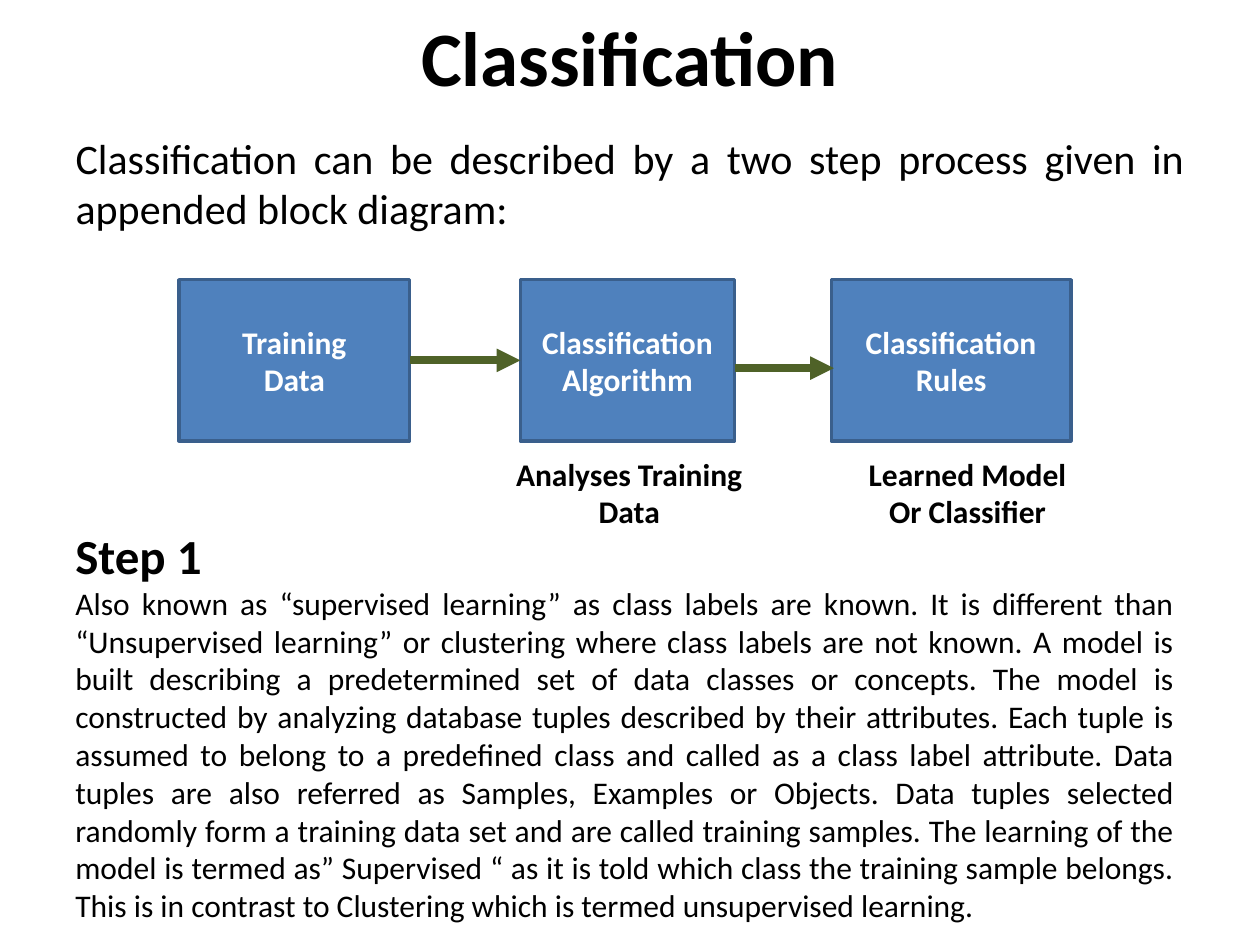
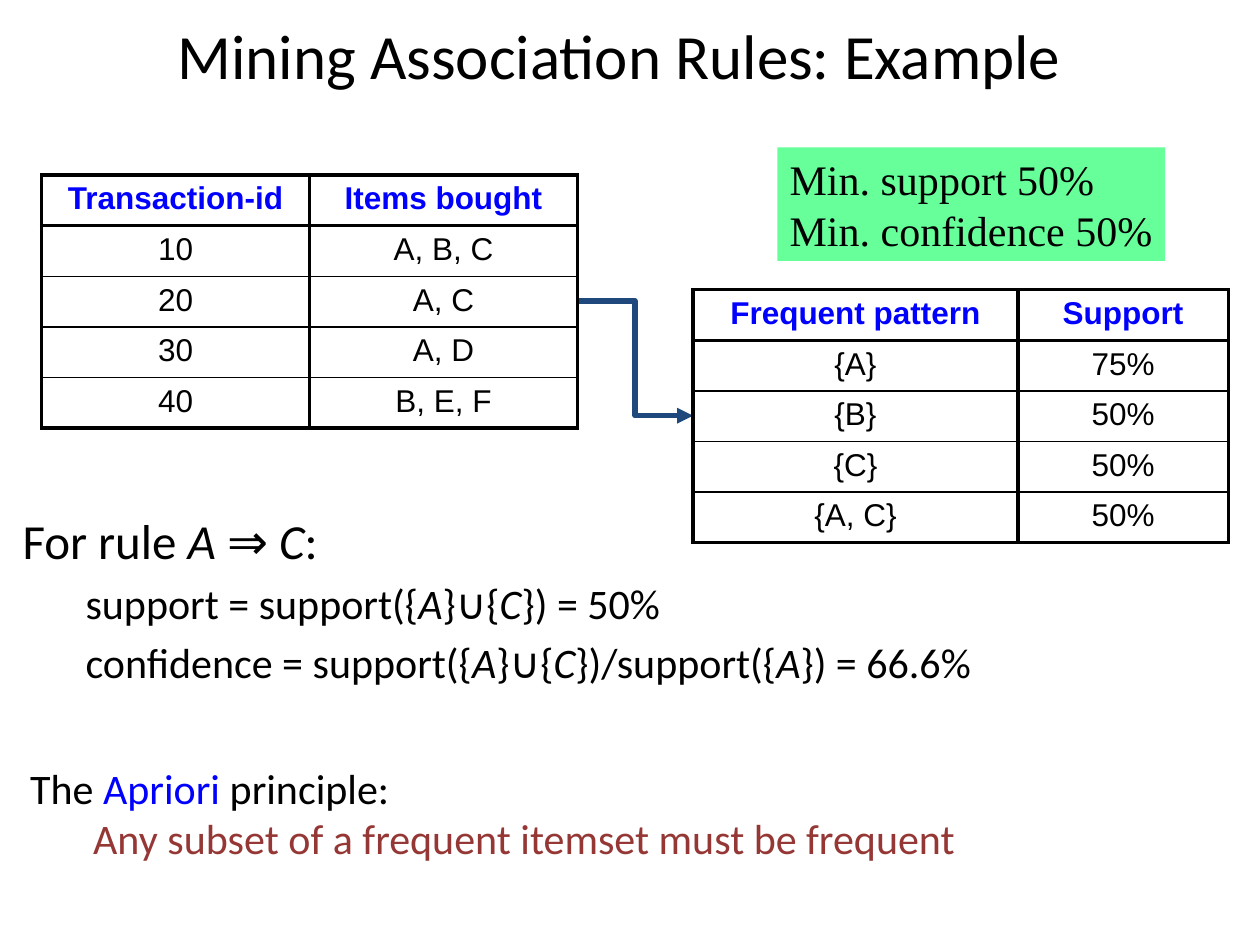
from lxml.etree import SubElement
from pptx import Presentation
from pptx.dml.color import RGBColor
from pptx.enum.shapes import MSO_CONNECTOR, MSO_SHAPE
from pptx.enum.text import MSO_ANCHOR, MSO_AUTO_SIZE, PP_ALIGN
from pptx.oxml.ns import qn
from pptx.util import Cm, Pt

BLACK, WHITE, BLUE = "000000", "FFFFFF", "0000FF"
BOX_FILL, BOX_LINE, FLOW_ARROW = "4F81BD", "3A5F8C", "4F6228"
TABLE_ARROW, MINIMUMS_FILL, PRINCIPLE = "1F497D", "66FF99", "953735"
BODY_FONT, TABLE_FONT, NOTE_FONT = "Calibri", "Arial", "Times New Roman"
ROW_HEIGHT = 1.02
THICK, THIN = 2.25, 1

STEP_TEXT = (
    "Also known as “supervised learning” as class labels are known. It is different than "
    "“Unsupervised learning” or clustering where class labels are not known. A model is built "
    "describing a predetermined set of data classes or concepts. The model is constructed by "
    "analyzing database tuples described by their attributes. Each tuple is assumed to belong "
    "to a predefined class and called as a class label attribute. Data tuples are also referred "
    "as Samples, Examples or Objects. Data tuples selected randomly form a training data set "
    "and are called training samples. The learning of the model is termed as” Supervised “ as "
    "it is told which class the training sample belongs. This is in contrast to Clustering "
    "which is termed unsupervised learning."
)


def rgb(code):
    return RGBColor.from_string(code)


def place(shape, left, top, width, height):
    shape.left, shape.top = Cm(left), Cm(top)
    shape.width, shape.height = Cm(width), Cm(height)


def add_run(paragraph, text, size, color=BLACK, font=BODY_FONT, bold=False, italic=False):
    run = paragraph.add_run()
    run.text = text
    run.font.size, run.font.name = Pt(size), font
    run.font.bold, run.font.italic = bold, italic
    run.font.color.rgb = rgb(color)


def add_paragraph(frame, align=PP_ALIGN.LEFT):
    """Return the empty first paragraph of the frame, or a new one after it."""
    first = frame.paragraphs[0]
    if first.runs:
        paragraph = frame.add_paragraph()
    else:
        paragraph = first
        paragraph.space_before = Pt(0)
    paragraph.alignment = align
    return paragraph


def add_lines(frame, lines, align, size, **style):
    for line in lines:
        add_run(add_paragraph(frame, align), line, size, **style)


def set_indent(paragraph, left, first=0):
    properties = paragraph._p.get_or_add_pPr()
    properties.set("marL", str(Cm(left)))
    properties.set("indent", str(Cm(first)))


def remove_bullet(paragraph):
    SubElement(paragraph._p.get_or_add_pPr(), qn("a:buNone"))


def add_slide(deck, title, title_area, body_area, size, bold=False):
    """Add a slide with its title written; return it with the empty body frame."""
    slide = deck.slides.add_slide(deck.slide_layouts[1])
    body = slide.placeholders[1]
    for holder, area in ((slide.shapes.title, title_area), (body, body_area)):
        place(holder, *area)
        holder.text_frame.auto_size = MSO_AUTO_SIZE.NONE
    add_lines(slide.shapes.title.text_frame, [title], PP_ALIGN.CENTER, size, bold=bold)
    return slide, body.text_frame


def add_text_area(slide, left, top, width, height):
    frame = slide.shapes.add_textbox(Cm(left), Cm(top), Cm(width), Cm(height)).text_frame
    frame.word_wrap = True
    return frame


def add_box(slide, left, top, width, height, fill):
    box = slide.shapes.add_shape(MSO_SHAPE.RECTANGLE, Cm(left), Cm(top), Cm(width), Cm(height))
    box.shadow.inherit = False
    box.fill.solid()
    box.fill.fore_color.rgb = rgb(fill)
    box.line.fill.background()
    box.text_frame.vertical_anchor = MSO_ANCHOR.MIDDLE
    return box


def add_step_box(slide, left, width, lines):
    box = add_box(slide, left, 5.64, width, 3.25, BOX_FILL)
    box.line.color.rgb = rgb(BOX_LINE)
    box.line.width = Pt(2)
    box.text_frame.word_wrap = True
    add_lines(box.text_frame, lines, PP_ALIGN.CENTER, 18, color=WHITE, bold=True)
    return box


def add_arrow(slide, start, end, color, width, kind=MSO_CONNECTOR.STRAIGHT):
    arrow = slide.shapes.add_connector(kind, *map(Cm, start + end))
    arrow.line.color.rgb = rgb(color)
    arrow.line.width = Pt(width)
    SubElement(arrow.line._get_or_add_ln(), qn("a:tailEnd"), type="triangle")
    SubElement(arrow._element.spPr, qn("a:effectLst"))
    return arrow


def set_borders(cell, top, bottom):
    properties = cell._tc.get_or_add_tcPr()
    for side, width in (("L", THICK), ("R", THICK), ("T", top), ("B", bottom)):
        border = SubElement(properties, qn(f"a:ln{side}"), w=str(Pt(width)))
        fill = SubElement(border, qn("a:solidFill"))
        SubElement(fill, qn("a:srgbClr"), val=BLACK)


def add_grid(slide, left, top, widths, rows):
    """Add a table with a bold blue heading row and thick outer borders."""
    table = slide.shapes.add_table(
        len(rows), len(widths), Cm(left), Cm(top), Cm(sum(widths)), Cm(ROW_HEIGHT * len(rows))
    ).table
    table.first_row = table.horz_banding = False
    for column, width in zip(table.columns, widths):
        column.width = Cm(width)
    for r, row in enumerate(rows):
        heading = r == 0
        table.rows[r].height = Cm(ROW_HEIGHT)
        for c, value in enumerate(row):
            cell = table.cell(r, c)
            set_borders(
                cell,
                top=THICK if r <= 1 else THIN,
                bottom=THICK if r in (0, len(rows) - 1) else THIN,
            )
            cell.fill.solid()
            cell.fill.fore_color.rgb = rgb(WHITE)
            add_lines(cell.text_frame, [value], PP_ALIGN.CENTER, 18, font=TABLE_FONT,
                      color=BLUE if heading else BLACK, bold=heading)


def add_formula(frame, parts, size, level=0):
    """Write the parts in turn upright and italic, beginning upright."""
    paragraph = add_paragraph(frame)
    paragraph.level = level
    remove_bullet(paragraph)
    for i, part in enumerate(parts):
        add_run(paragraph, part, size, italic=i % 2 == 1)


def build_classification(deck):
    slide, intro = add_slide(deck, "Classification", (1.27, 0, 22.86, 2.24),
                             (1.27, 2.54, 22.86, 3.38), 44, bold=True)
    sentence = add_paragraph(intro, PP_ALIGN.JUSTIFY)
    set_indent(sentence, 0)
    remove_bullet(sentence)
    add_run(sentence, "Classification can be described by a two step process "
                      "given in appended block diagram:", 24)

    step = add_text_area(slide, 1.27, 10.46, 22.66, 8.38)
    add_lines(step, ["Step 1"], PP_ALIGN.JUSTIFY, 28, bold=True)
    add_lines(step, [STEP_TEXT], PP_ALIGN.JUSTIFY, 18)

    training = add_step_box(slide, 3.61, 4.65, ["Training", "Data"])
    algorithm = add_step_box(slide, 10.49, 4.32, ["Classification", "Algorithm"])
    add_step_box(slide, 16.76, 4.83, ["Classification", "Rules"])

    to_algorithm = add_arrow(slide, (8.26, 7.26), (10.49, 7.26), FLOW_ARROW, 4.5)
    to_algorithm.begin_connect(training, 3)
    to_algorithm.end_connect(algorithm, 1)
    add_arrow(slide, (14.81, 7.42), (16.81, 7.42), FLOW_ARROW, 4.5)

    for left, width, caption in (
        (10.13, 5.11, ["Analyses Training Data"]),
        (17.09, 4.83, ["Learned Model", "Or Classifier"]),
    ):
        frame = add_text_area(slide, left, 9.04, width, 1.8)
        add_lines(frame, caption, PP_ALIGN.CENTER, 18, bold=True)


def build_association_rules(deck):
    slide, rule = add_slide(deck, "Mining Association Rules: Example",
                            (0.84, 0.2, 23.29, 1.78), (0.2, 10.16, 25.6, 5.89), 36)
    add_formula(rule, ["For rule ", "A ", "⇒ ", "C", ":"], 28)
    add_formula(rule, ["support = support({", "A", "}∪{", "C", "}) = 50%"], 24, level=1)
    add_formula(rule, ["confidence = support({", "A", "}∪{", "C", "})/support({", "A",
                       "}) = 66.6%"], 24, level=1)

    minimums = add_box(slide, 15.67, 2.97, 7.82, 2.29, MINIMUMS_FILL).text_frame
    minimums.word_wrap = False
    add_lines(minimums, ["Min. support 50%", "Min. confidence 50%"], PP_ALIGN.LEFT, 24,
              font=NOTE_FONT)

    add_arrow(slide, (11.63, 6.07), (13.97, 8.38), TABLE_ARROW, 3, MSO_CONNECTOR.ELBOW)
    add_grid(slide, 0.84, 3.53, (5.4, 5.4), [
        ("Transaction-id", "Items bought"),
        ("10", "A, B, C"),
        ("20", "A, C"),
        ("30", "A, D"),
        ("40", "B, E, F"),
    ])
    add_grid(slide, 13.97, 5.84, (6.55, 4.24), [
        ("Frequent pattern", "Support"),
        ("{A}", "75%"),
        ("{B}", "50%"),
        ("{C}", "50%"),
        ("{A, C}", "50%"),
    ])

    principle = add_text_area(slide, 0.36, 15.24, 23.98, 2.31)
    heading = add_paragraph(principle)
    for text, color in (("The ", BLACK), ("Apriori", BLUE), (" principle:", BLACK)):
        add_run(heading, text, 24, color)
    statement = add_paragraph(principle)
    statement.level = 1
    set_indent(statement, 1.27)
    add_run(statement, "Any subset of a frequent itemset must be frequent", 24, PRINCIPLE)


def main():
    deck = Presentation()
    deck.slide_width, deck.slide_height = Cm(25.4), Cm(19.05)
    build_classification(deck)
    build_association_rules(deck)
    deck.save("out.pptx")


if __name__ == "__main__":
    main()
